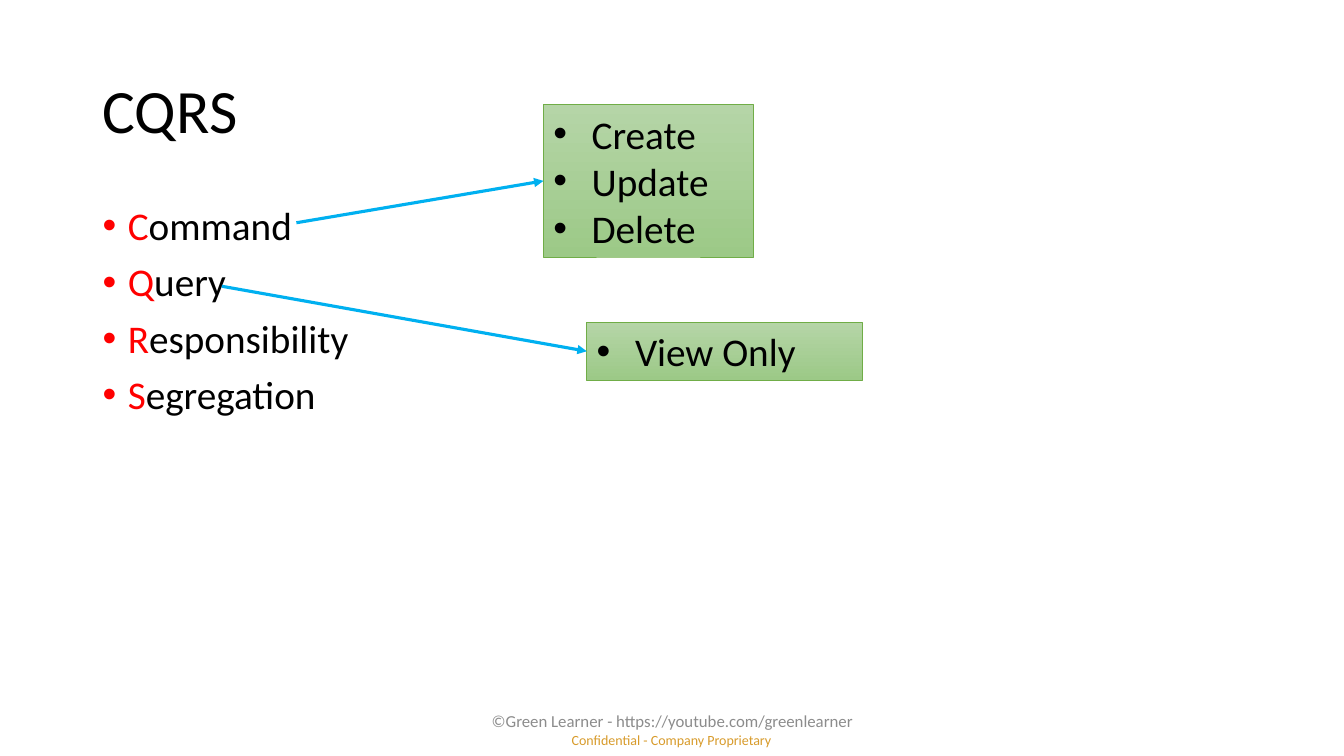
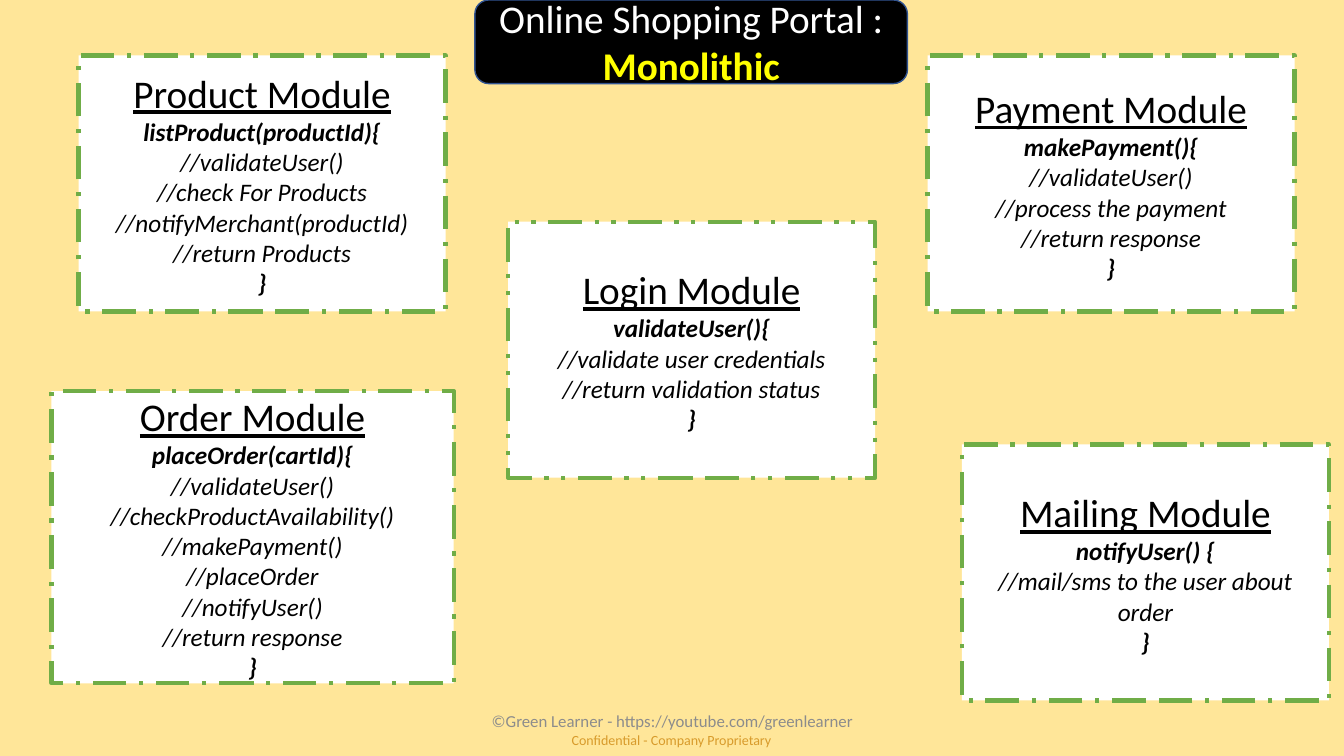
import pptx
import pptx.util
import pptx.dml.color
import pptx.enum.dml
import pptx.enum.shapes
import pptx.enum.text
import pptx.oxml.ns
import lxml.etree
from dataclasses import dataclass

Inches = pptx.util.Inches
Pt = pptx.util.Pt
qn = pptx.oxml.ns.qn
Shape = pptx.enum.shapes.MSO_SHAPE
Dash = pptx.enum.dml.MSO_LINE
Align = pptx.enum.text.PP_ALIGN
Anchor = pptx.enum.text.MSO_ANCHOR


@dataclass(frozen=True)
class Theme:
    font: str = "Calibri"
    black: str = "000000"
    white: str = "FFFFFF"
    sand: str = "FFE699"
    red: str = "FF0000"
    yellow: str = "FFFF00"
    green: str = "70AD47"
    light: str = "B5D5A7"
    deep: str = "9CC987"
    blue: str = "00B0F0"
    navy: str = "325491"
    gray: str = "8C8C8C"
    gold: str = "D89B2B"
    title: int = 44
    head: int = 28
    code: int = 18
    foot: int = 12
    note: int = 10


theme = Theme()
rgb = pptx.dml.color.RGBColor.from_string


def put(slide, at, kind=None, anchor=Anchor.MIDDLE, edge=None, width=1):
    place = [Inches(n) for n in at]
    if kind is None:
        shape = slide.shapes.add_textbox(*place)
    else:
        shape = slide.shapes.add_shape(kind, *place)
        shape.shadow.inherit = False
        shape.line.color.rgb = rgb(edge)
        shape.line.width = Pt(width)
    shape.text_frame.word_wrap = True
    shape.text_frame.vertical_anchor = anchor
    return shape


def say(par, text, size, color=theme.black, bold=False, slant=False, under=False):
    run = par.add_run()
    run.text = text
    font = run.font
    font.name = theme.font
    font.size = Pt(size)
    font.color.rgb = rgb(color)
    font.bold, font.italic, font.underline = bold, slant, under


deck = pptx.Presentation()
deck.slide_width = Inches(13.33)
deck.slide_height = Inches(7.5)

for color in (theme.white, theme.sand):
    slide = deck.slides.add_slide(deck.slide_layouts[6])
    slide.background.fill.solid()
    slide.background.fill.fore_color.rgb = rgb(color)
    note = put(slide, (5.67, 7.26, 2.02, 0.17), anchor=Anchor.TOP).text_frame
    note.word_wrap = False
    note.margin_left = note.margin_right = note.margin_top = note.margin_bottom = 0
    say(note.paragraphs[0], "Confidential - Company Proprietary", theme.note, theme.gold)
    foot = put(slide, (4.42, 6.95, 4.5, 0.4)).text_frame.paragraphs[0]
    foot.alignment = Align.CENTER
    say(foot, "©Green Learner - https://youtube.com/greenlearner", theme.foot, theme.gray)

first, second = deck.slides

title = put(first, (0.92, 0.4, 11.5, 1.45)).text_frame.paragraphs[0]
title.line_spacing = 0.9
say(title, "CQRS", theme.title)

body = put(first, (0.92, 2, 11.5, 4.76), anchor=Anchor.TOP)
words = ["Command", "Query", "Responsibility", "Segregation"]
lists = [(body, 0.25, [[(word[0], theme.red), (word[1:], theme.black)] for word in words])]

for at, start, names in [
    ((5.39, 1.04, 2.08, 1.51), (2.94, 2.21), ["Create", "Update", "Delete"]),
    ((5.82, 3.2, 2.73, 0.57), (2.2, 2.84), ["View Only"]),
]:
    box = put(first, at, Shape.RECTANGLE, Anchor.TOP, theme.green, 0.5)
    box.fill.gradient()
    box.fill.gradient_angle = 270
    for stop, color in zip(box.fill.gradient_stops, (theme.light, theme.deep)):
        stop.color.rgb = rgb(color)
    lists.append((box, 0.38, [[(name, theme.black)] for name in names]))

    end = at[0], at[1] + at[3] / 2
    arrow = first.shapes.add_connector(
        pptx.enum.shapes.MSO_CONNECTOR.STRAIGHT, *[Inches(n) for n in start + end]
    )
    arrow.end_connect(box, 1)
    arrow.line.color.rgb = rgb(theme.blue)
    arrow.line.width = Pt(2.25)
    lxml.etree.SubElement(arrow.line._get_or_add_ln(), qn("a:tailEnd"), type="triangle")
    lxml.etree.SubElement(arrow._element.spPr, qn("a:effectLst"))

for box, indent, items in lists:
    frame = box.text_frame
    for row, runs in enumerate(items):
        par = frame.add_paragraph() if row else frame.paragraphs[0]
        props = par._p.get_or_add_pPr()
        props.set("marL", str(Inches(indent)))
        props.set("indent", str(-Inches(indent)))
        lxml.etree.SubElement(props, qn("a:buFont"), typeface="Arial")
        lxml.etree.SubElement(props, qn("a:buChar"), char="•")
        par.alignment = Align.LEFT
        if box is body:
            par.line_spacing = 0.9
            par.space_before = Pt(10 if row else 0)
        for text, color in runs:
            say(par, text, theme.head, color)

cards = [
    ((0.78, 0.55, 3.64, 2.54), Dash.LONG_DASH_DOT, "Product Module", [
        "listProduct(productId){", "//validateUser()", "//check For Products",
        "//notifyMerchant(productId)", "//return Products", "}"]),
    ((5.04, 2.2, 3.64, 2.54), Dash.DASH_DOT_DOT, "Login Module", [
        "validateUser(){", "//validate user credentials",
        "//return validation status", "}"]),
    ((0.51, 3.88, 3.99, 2.9), Dash.LONG_DASH_DOT, "Order Module", [
        "placeOrder(cartId){", "//validateUser()", "//checkProductAvailability()",
        "//makePayment()", "//placeOrder", "//notifyUser()", "//return response", "}"]),
    ((9.2, 0.55, 3.64, 2.54), Dash.LONG_DASH_DOT, "Payment Module", [
        "makePayment(){", "//validateUser()", "//process the payment",
        "//return response", "}"]),
    ((9.54, 4.41, 3.64, 2.54), Dash.LONG_DASH_DOT, "Mailing Module", [
        "notifyUser() {", "//mail/sms to the user about order", "}"]),
]

for at, dash, name, code in cards:
    card = put(second, at, Shape.RECTANGLE, edge=theme.green, width=3)
    card.fill.solid()
    card.fill.fore_color.rgb = rgb(theme.white)
    card.line.dash_style = dash
    head = card.text_frame.paragraphs[0]
    head.alignment = Align.CENTER
    say(head, name, theme.head, under=True)
    for line in code:
        par = card.text_frame.add_paragraph()
        par.alignment = Align.CENTER
        say(par, line, theme.code, bold=not line.startswith("//"), slant=True)

banner = put(second, (4.71, 0, 4.29, 0.83), Shape.ROUNDED_RECTANGLE, edge=theme.navy)
banner.fill.solid()
banner.fill.fore_color.rgb = rgb(theme.black)
par = banner.text_frame.paragraphs[0]
par.alignment = Align.CENTER
say(par, "Online Shopping Portal : ", theme.head, theme.white)
say(par, "Monolithic", theme.head, theme.yellow, bold=True)

deck.save("out.pptx")
